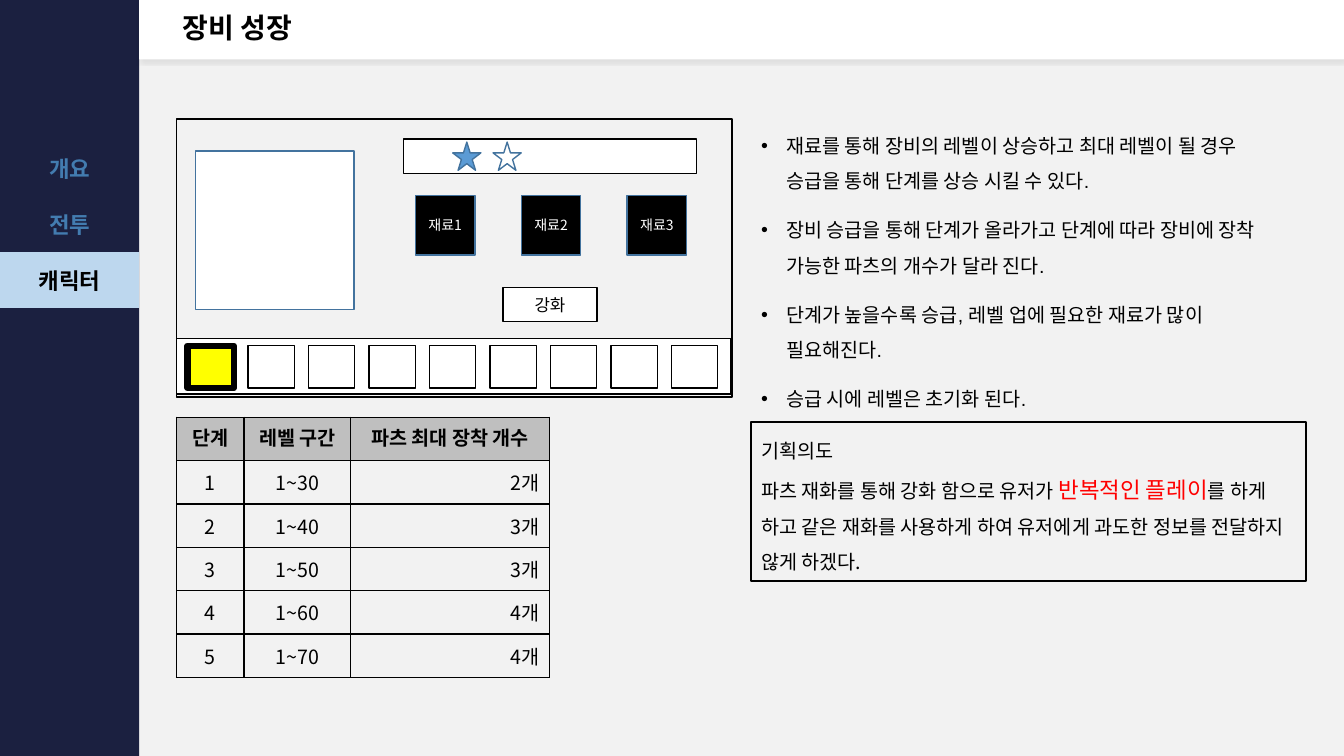
from dataclasses import dataclass

from lxml import etree
from pptx import Presentation
from pptx import util as u
from pptx.dml.color import RGBColor
from pptx.enum import shapes, text
from pptx.oxml.ns import qn

KOREAN = "Noto Sans CJK KR"
BLACK, WHITE, NAVY, PALE, STEEL = "000000", "FFFFFF", "1B2040", "F2F2F2", "43739E"
RECT, STAR = shapes.MSO_SHAPE.RECTANGLE, shapes.MSO_SHAPE.STAR_5_POINT
LEFT, CENTER, RIGHT = text.PP_ALIGN.LEFT, text.PP_ALIGN.CENTER, text.PP_ALIGN.RIGHT
TOP, MIDDLE = text.MSO_ANCHOR.TOP, text.MSO_ANCHOR.MIDDLE


@dataclass
class Part:
    left: float
    top: float
    width: float
    height: float
    fill: str | None = WHITE
    line: str | None = BLACK
    line_width: float = 1
    kind: shapes.MSO_SHAPE = RECT
    label: str = ""
    size: int = 12
    label_color: str = BLACK


@dataclass
class CellLook:
    fill: str
    size: int
    color: str = BLACK
    bold: bool = False
    align: text.PP_ALIGN = CENTER
    anchor: text.MSO_ANCHOR = MIDDLE
    border: str | None = None


def rgb(color: str) -> RGBColor:
    return RGBColor.from_string(color)


def style(paragraph, size: int, color: str = BLACK, bold: bool = False,
          name: str = KOREAN) -> None:
    font = paragraph.font
    font.size, font.bold, font.name = u.Pt(size), bold, name
    font.color.rgb = rgb(color)
    defaults = paragraph._p.pPr.find(qn("a:defRPr"))
    etree.SubElement(defaults, qn("a:ea"), typeface=KOREAN)


def draw(slide, part: Part):
    shape = slide.shapes.add_shape(part.kind, u.Inches(part.left), u.Inches(part.top),
                                   u.Inches(part.width), u.Inches(part.height))
    shape.shadow.inherit = False
    if part.fill:
        shape.fill.solid()
        shape.fill.fore_color.rgb = rgb(part.fill)
    else:
        shape.fill.background()
    if part.line:
        shape.line.color.rgb = rgb(part.line)
        shape.line.width = u.Pt(part.line_width)
    else:
        shape.line.fill.background()
    if part.label:
        shape.text_frame.vertical_anchor = MIDDLE
        paragraph = shape.text_frame.paragraphs[0]
        paragraph.text, paragraph.alignment = part.label, CENTER
        style(paragraph, part.size, part.label_color)
    return shape


def add_drop_shadow(shape) -> None:
    effects = shape._element.spPr.find(qn("a:effectLst"))
    shadow = etree.SubElement(effects, qn("a:outerShdw"), blurRad=str(u.Pt(2)),
                              dist=str(u.Pt(2)), dir="5400000", algn="t", rotWithShape="0")
    color = etree.SubElement(shadow, qn("a:srgbClr"), val=BLACK)
    etree.SubElement(color, qn("a:alpha"), val="8000")


def add_text_box(slide, left: float, top: float, width: float, height: float):
    box = slide.shapes.add_textbox(u.Inches(left), u.Inches(top),
                                   u.Inches(width), u.Inches(height))
    box.text_frame.word_wrap = True
    return box.text_frame


def add_bullet(paragraph) -> None:
    properties = paragraph._p.get_or_add_pPr()
    properties.set("marL", str(u.Inches(0.25)))
    properties.set("indent", str(u.Inches(-0.25)))
    etree.SubElement(properties, qn("a:buFont"), typeface="Arial")
    etree.SubElement(properties, qn("a:buChar"), char="•")


def add_grid(slide, left: float, top: float, columns: list[float], row_height: float,
             row_count: int):
    frame = slide.shapes.add_table(row_count, len(columns), u.Inches(left), u.Inches(top),
                                   u.Inches(sum(columns)), u.Inches(row_height * row_count))
    table = frame.table
    table.first_row = table.horz_banding = False
    for column, width in zip(table.columns, columns):
        column.width = u.Inches(width)
    for row in table.rows:
        row.height = u.Inches(row_height)
    return table


def fill_cell(cell, words: str, look: CellLook) -> None:
    properties = cell._tc.get_or_add_tcPr()
    for side in ("a:lnL", "a:lnR", "a:lnT", "a:lnB"):
        edge = etree.SubElement(properties, qn(side), w=str(u.Pt(1)))
        if look.border:
            solid = etree.SubElement(edge, qn("a:solidFill"))
            etree.SubElement(solid, qn("a:srgbClr"), val=look.border)
        else:
            etree.SubElement(edge, qn("a:noFill"))
    cell.fill.solid()
    cell.fill.fore_color.rgb = rgb(look.fill)
    cell.vertical_anchor = look.anchor
    paragraph = cell.text_frame.paragraphs[0]
    paragraph.text, paragraph.alignment = words, look.align
    style(paragraph, look.size, look.color, look.bold)


def add_navigation(slide) -> None:
    draw(slide, Part(0, 0, 1.38, 7.5, NAVY, None))
    add_drop_shadow(draw(slide, Part(1.38, 0, 11.96, 0.59, WHITE, None)))
    idle = CellLook(NAVY, 16, "437CB0", True)
    current = CellLook("BDD7EE", 16, BLACK, True)
    entries = [("개요", idle), ("전투", idle), ("캐릭터", current), ("", idle)]
    menu = add_grid(slide, 0, 1.38, [1.38], 0.56, len(entries))
    for row, (words, look) in enumerate(entries):
        fill_cell(menu.cell(row, 0), words, look)


def add_title(slide) -> None:
    frame = add_text_box(slide, 1.71, 0, 10.09, 0.59)
    frame.vertical_anchor = MIDDLE
    title = frame.paragraphs[0]
    title.text, title.line_spacing = "장비 성장", 0.9
    style(title, 20, bold=True, name="Arial")


def add_rules(slide) -> None:
    rules = [
        "재료를 통해 장비의 레벨이 상승하고 최대 레벨이 될 경우 승급을 통해 단계를 상승 시킬 수 있다.",
        "장비 승급을 통해 단계가 올라가고 단계에 따라 장비에 장착 가능한 파츠의 개수가 달라 진다.",
        "단계가 높을수록 승급, 레벨 업에 필요한 재료가 많이 필요해진다.",
        "승급 시에 레벨은 초기화 된다.",
    ]
    frame = add_text_box(slide, 7.45, 1.16, 5.5, 5.98)
    for index, rule in enumerate(rules):
        paragraph = frame.add_paragraph() if index else frame.paragraphs[0]
        paragraph.text, paragraph.line_spacing = rule, 1.5
        paragraph.space_before = u.Pt(10 if index else 0)
        add_bullet(paragraph)
        style(paragraph, 14, name="Arial")


def add_level_table(slide) -> None:
    rows = [("단계", "레벨 구간", "파츠 최대 장착 개수"),
            ("1", "1~30", "2개"), ("2", "1~40", "3개"), ("3", "1~50", "3개"),
            ("4", "1~60", "4개"), ("5", "1~70", "4개")]
    header = CellLook("BFBFBF", 14, bold=True, anchor=TOP, border=BLACK)
    value = CellLook(PALE, 14, border=BLACK)
    count = CellLook(PALE, 14, align=RIGHT, border=BLACK)
    levels = add_grid(slide, 1.75, 4.14, [0.67, 1.06, 1.97], 0.43, len(rows))
    for row, entries in enumerate(rows):
        looks = [value, value, count] if row else [header] * 3
        for column, (words, look) in enumerate(zip(entries, looks)):
            fill_cell(levels.cell(row, column), words, look)


def add_upgrade_screen(slide) -> None:
    window = Part(1.75, 1.18, 5.51, 2.76, PALE)
    item_view = Part(1.94, 1.5, 1.57, 1.57, line=STEEL)
    materials = [Part(4.12 + 1.05 * i, 1.94, 0.59, 0.59, BLACK, STEEL, label=f"재료{i + 1}",
                      size=10, label_color=WHITE) for i in range(3)]
    star_bar = Part(4, 1.38, 2.91, 0.34)
    upgrade_button = Part(4.99, 2.85, 0.93, 0.34, label="강화")
    slot_bar = Part(1.75, 3.36, 5.5, 0.55)
    selected_slot = Part(1.86, 3.43, 0.46, 0.42, "FFFF00", line_width=4.5)
    slots = [Part(1.86 + 0.6 * i, 3.43, 0.46, 0.42) for i in range(1, 9)]
    stars = [Part(4.49 + 0.4 * i, 1.41, 0.28, 0.28, fill, STEEL, kind=STAR)
             for i, fill in enumerate(("5B9BD5", WHITE))]
    for part in [window, item_view, *materials, star_bar, upgrade_button, slot_bar,
                 selected_slot, *slots, *stars]:
        draw(slide, part)


def add_intent(slide) -> None:
    frame = draw(slide, Part(7.45, 4.19, 5.5, 1.57, None, line_width=1.5)).text_frame
    frame.vertical_anchor = TOP
    frame.auto_size = text.MSO_AUTO_SIZE.SHAPE_TO_FIT_TEXT
    heading, body = frame.paragraphs[0], frame.add_paragraph()
    heading.text = "기획의도"
    for paragraph in (heading, body):
        paragraph.alignment, paragraph.line_spacing = LEFT, 1.5
        style(paragraph, 14)
    body.add_run().text = "파츠 재화를 통해 강화 함으로 유저가 "
    emphasis = body.add_run()
    emphasis.text = "반복적인 플레이"
    emphasis.font.size, emphasis.font.color.rgb = u.Pt(16), rgb("FF0000")
    body.add_run().text = "를 하게 하고 같은 재화를 사용하게 하여 유저에게 과도한 정보를 전달하지 않게 하겠다."


def main() -> None:
    deck = Presentation()
    deck.slide_width, deck.slide_height = u.Inches(13.33), u.Inches(7.5)
    slide = deck.slides.add_slide(deck.slide_layouts[6])
    slide.background.fill.solid()
    slide.background.fill.fore_color.rgb = rgb(PALE)
    for add_section in (add_navigation, add_title, add_rules, add_level_table,
                        add_upgrade_screen, add_intent):
        add_section(slide)
    deck.save("out.pptx")


if __name__ == "__main__":
    main()
